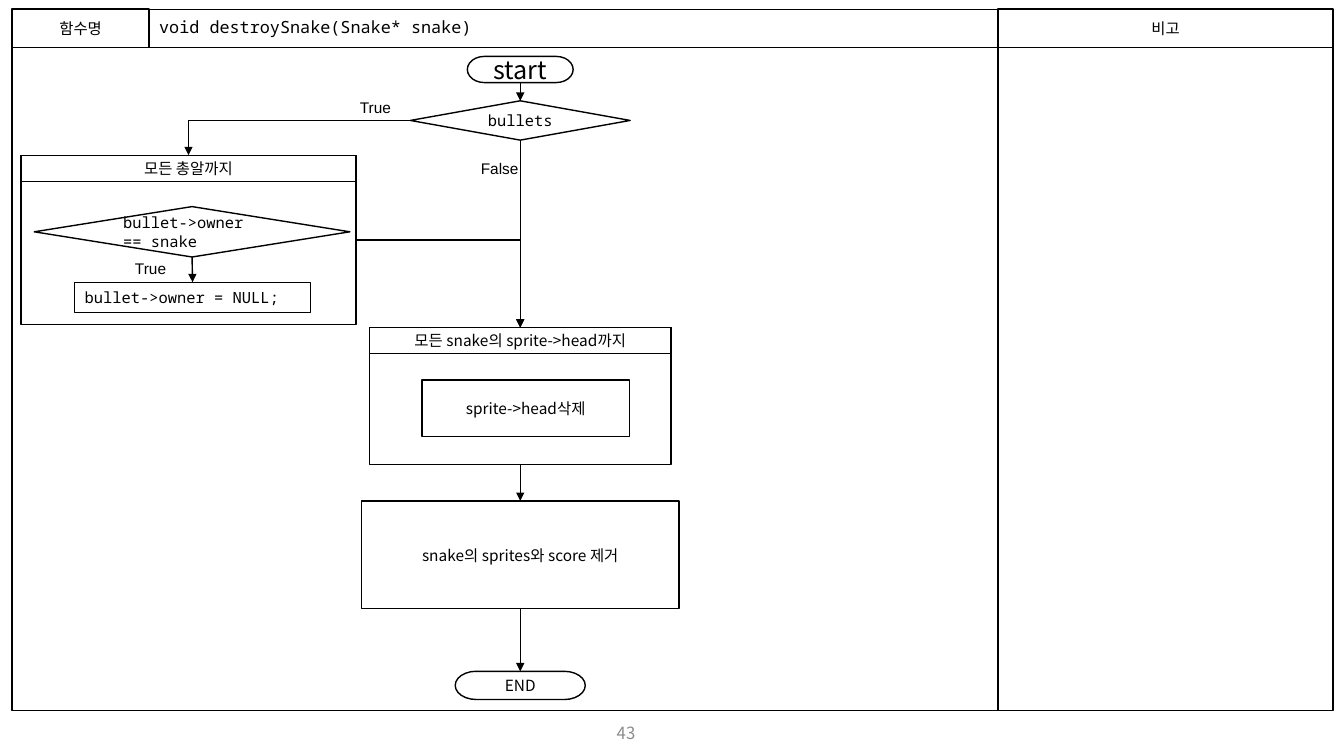
from lxml import etree
from pptx import Presentation
from pptx.dml.color import RGBColor
from pptx.enum.shapes import MSO_CONNECTOR, MSO_SHAPE
from pptx.enum.text import MSO_ANCHOR, PP_ALIGN
from pptx.oxml.ns import qn
from pptx.util import Inches, Pt

BLACK = RGBColor(0, 0, 0)
WHITE = RGBColor(255, 255, 255)
GREY = RGBColor(0x8C, 0x8C, 0x8C)
SANS, MONO, ARIAL = "Noto Sans CJK KR", "Noto Sans Mono", "Arial"
RECT = MSO_SHAPE.RECTANGLE
ROUND = MSO_SHAPE.FLOWCHART_TERMINATOR
TEST = MSO_SHAPE.FLOWCHART_DECISION
STRAIGHT, ELBOW = MSO_CONNECTOR.STRAIGHT, MSO_CONNECTOR.ELBOW
LEFT, CENTER = PP_ALIGN.LEFT, PP_ALIGN.CENTER
MIDDLE, TOP = MSO_ANCHOR.MIDDLE, MSO_ANCHOR.TOP
# Connection sites
UP, WEST, DOWN, EAST = range(4)


def write(shape, text, size=11, font=SANS, color=BLACK, align=CENTER,
          anchor=MIDDLE, spacing=None):
    frame = shape.text_frame
    frame.word_wrap = True
    frame.vertical_anchor = anchor
    para = frame.paragraphs[0]
    para.alignment = align
    if spacing:
        para.line_spacing = spacing
    run = para.add_run()
    run.text = text
    run.font.size = Pt(size)
    run.font.name = font
    run.font.color.rgb = color
    east = etree.SubElement(run.font._element, qn("a:ea"))
    east.set("typeface", font)


def block(slide, box, text="", kind=RECT, fill=WHITE, width=1, **form):
    shape = slide.shapes.add_shape(kind, *map(Inches, box))
    shape.shadow.inherit = False
    if fill is None:
        shape.fill.background()
    else:
        shape.fill.solid()
        shape.fill.fore_color.rgb = fill
    shape.line.color.rgb = BLACK
    shape.line.width = Pt(width)
    if text:
        write(shape, text, **form)
    return shape


def label(slide, box, text, **form):
    write(slide.shapes.add_textbox(*map(Inches, box)), text, **form)


def note(slide, x, y, text):
    label(slide, (x, y, 0.71, 0.29), text, font=ARIAL, align=LEFT, anchor=TOP)


def link(slide, start, end, out=DOWN, into=UP, kind=STRAIGHT):
    line = slide.shapes.add_connector(kind, 0, 0, 0, 0)
    line.begin_connect(start, out)
    line.end_connect(end, into)
    line.line.color.rgb = BLACK
    line.line.width = Pt(1)
    props = line._element.spPr
    if kind == ELBOW:
        props.find(qn("a:prstGeom")).set("prst", "bentConnector2")
    tip = etree.SubElement(line.line._get_or_add_ln(), qn("a:tailEnd"))
    tip.set("type", "triangle")
    etree.SubElement(props, qn("a:effectLst"))


def grid(slide, box):
    """Header row over the flow area and the remarks column."""
    x, y, w, h = box
    row, name, side = 0.38, 1.36, 3.32
    main = w - side
    block(slide, (x + name, y, main - name, row),
          "void destroySnake(Snake* snake)", fill=None, width=0.75,
          size=12, font=MONO, align=LEFT, spacing=0.9)
    block(slide, (x, y, name, row), "함수명", fill=None)
    block(slide, (x + main, y, side, row), "비고", fill=None)
    block(slide, (x, y + row, main, h - row), fill=None)
    block(slide, (x + main, y + row, side, h - row), fill=None)


def loop(slide, box, title):
    """Frame with a title bar; returns both."""
    x, y, w, h = box
    frame = block(slide, box)
    return frame, block(slide, (x, y, w, 0.26), title)


def owner(slide, box):
    """Loop over the bullets."""
    x, y = box[:2]
    frame, bar = loop(slide, box, "모든 총알까지")
    check = block(slide, (x + 0.13, y + 0.51, 3.13, 0.5),
                  "bullet->owner == snake", TEST, font=MONO, align=LEFT)
    clear = block(slide, (x + 0.53, y + 1.26, 2.34, 0.3),
                  "bullet->owner = NULL;", font=MONO, align=LEFT)
    link(slide, check, clear)
    note(slide, x + 1.03, y + 0.98, "True")
    return frame, bar


def sprite(slide, box):
    """Loop over the sprites."""
    x, y = box[:2]
    frame, bar = loop(slide, box, "모든 snake의 sprite->head까지")
    block(slide, (x + 0.52, y + 0.52, 2.06, 0.56), "sprite->head삭제")
    return frame, bar


def flow(slide, box):
    """Flowchart; its main steps share one vertical axis."""
    x, y = box[:2]
    axis = x + 5.04

    def mid(top, w, h):
        return axis - w / 2, y + top, w, h

    start = block(slide, mid(0.09, 1.05, 0.26), "start", ROUND, size=18)
    end = block(slide, mid(6.19, 1.29, 0.28), "END", ROUND)
    check = block(slide, mid(0.53, 2.18, 0.39), "bullets", TEST, font=MONO)
    shots, shot_bar = owner(slide, (x + 0.09, y + 1.07, 3.32, 1.68))
    parts, part_bar = sprite(slide, mid(2.78, 2.99, 1.36))
    drop = block(slide, mid(4.5, 3.15, 1.07), "snake의 sprites와 score 제거")

    # Arrows
    for first, then in ((start, check), (check, part_bar),
                        (parts, drop), (drop, end)):
        link(slide, first, then)
    link(slide, check, shot_bar, out=WEST, kind=ELBOW)
    link(slide, shots, part_bar, out=EAST, kind=ELBOW)

    # Branch labels
    note(slide, x + 3.35, y + 0.45, "True")
    note(slide, x + 4.55, y + 1.06, "False")


def main():
    deck = Presentation()
    deck.slide_width, deck.slide_height = Inches(13.33), Inches(7.5)
    slide = deck.slides.add_slide(deck.slide_layouts[6])
    grid(slide, (0.12, 0.09, 13.1, 6.96))
    flow(slide, (0.12, 0.47, 9.78, 6.58))
    # Page number
    label(slide, (4.71, 7.13, 3, 0.28), "43", size=12, color=GREY)
    deck.save("out.pptx")


if __name__ == "__main__":
    main()
